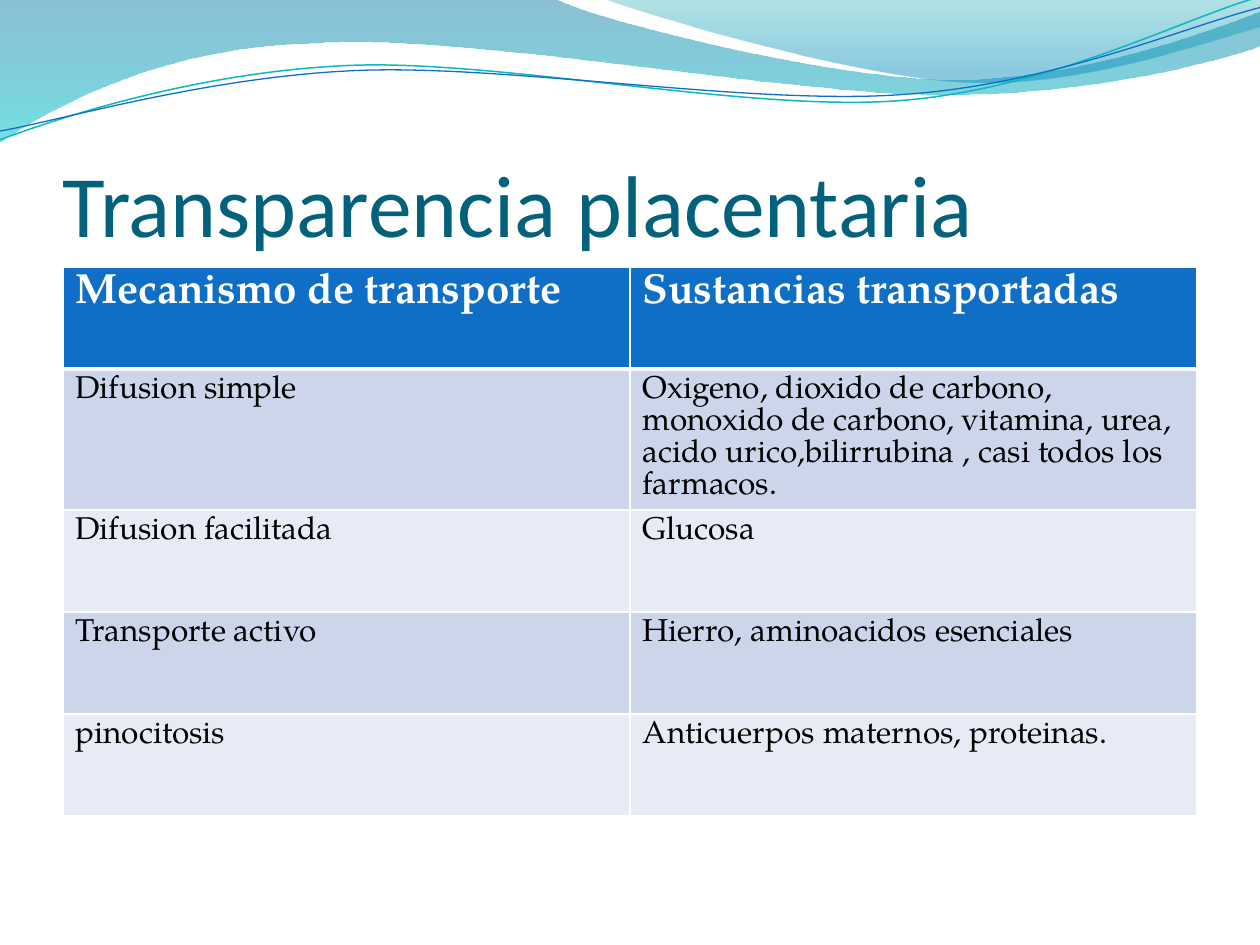
from lxml import etree
from pptx import Presentation
from pptx.dml.color import RGBColor
from pptx.enum.text import MSO_ANCHOR
from pptx.oxml.ns import qn
from pptx.util import Inches, Pt

WHITE = RGBColor(0xFF, 0xFF, 0xFF)
BLACK = RGBColor(0x00, 0x00, 0x00)
TITLE_TEAL = RGBColor(0x04, 0x61, 0x7B)
HEADER_BLUE = RGBColor(0x0F, 0x6F, 0xC6)
LINE_TEAL = RGBColor(0x0A, 0xB8, 0xBF)
BAND_DARK = RGBColor(0xCC, 0xD5, 0xEA)
BAND_LIGHT = RGBColor(0xE7, 0xEB, 0xF5)
DEEP_BLUE = RGBColor(0x00, 0x74, 0xA1)
CYAN = RGBColor(0x00, 0xC6, 0xCF)
GREEN = RGBColor(0x00, 0xA1, 0xA9)
SKY = RGBColor(0x00, 0x8B, 0xBF)

TITLE = "Transparencia placentaria"
ROWS = [
    ("Mecanismo de transporte", "Sustancias transportadas"),
    ("Difusion simple",
     "Oxigeno, dioxido de carbono, monoxido de carbono, vitamina, urea, "
     "acido urico,bilirrubina , casi todos los farmacos."),
    ("Difusion facilitada", "Glucosa"),
    ("Transporte activo", "Hierro, aminoacidos esenciales"),
    ("pinocitosis", "Anticuerpos maternos, proteinas."),
]
ROW_HEIGHTS = [0.81, 1.11, 0.81, 0.81, 0.81]
BODY_PITCH = 18.3

WAVES = [
    ((0, 0), [
        [(4.4, -0.01)],
        [(4.76, 0.17), (6.64, 0.63), (7.58, 0.63)],
        [(8.53, 0.63), (9.58, 0.26), (10, 0.09)],
        [(10.01, 0.36)],
        [(9.83, 0.44), (8.7, 0.76), (7.46, 0.75)],
        [(6.22, 0.75), (3.82, 0.28), (2.57, 0.34)],
        [(1.29, 0.36), (0.46, 0.83), (-0.01, 1.13)],
    ], [(0, DEEP_BLUE, 45), (100, CYAN, 55)]),
    ((4.79, -0.01), [
        [(5.09, 0.11), (6.82, 0.62), (7.69, 0.65)],
        [(8.56, 0.69), (9.61, 0.32), (10, 0.21)],
        [(10, 0)],
    ], [(0, GREEN, 30), (80, SKY, 45)]),
]
STRANDS = [
    ((0, 1.11), [
        [(0.48, 0.93), (1.58, 0.57), (2.77, 0.52)],
        [(3.95, 0.47), (5.93, 0.89), (7.13, 0.8)],
        [(8.33, 0.71), (9.38, 0.15), (9.98, -0.02)],
    ], LINE_TEAL, 0.85),
    ((0, 1.04), [
        [(0.47, 0.96), (1.64, 0.61), (2.83, 0.56)],
        [(4.03, 0.51), (5.97, 0.84), (7.17, 0.75)],
        [(8.36, 0.67), (9.41, 0.21), (10, 0.06)],
    ], HEADER_BLUE, 0.75),
]


def to_emu(point):
    return tuple(Inches(value) for value in point)


def add_outline(page, start, steps, close):
    builder = page.shapes.build_freeform(*to_emu(start))
    builder.add_line_segments(
        [to_emu(point) for step in steps for point in step], close=close)
    shape = builder.convert_to_shape()
    shape.shadow.inherit = False
    segments = iter(list(shape._element.iter(qn("a:lnTo"))))
    for step in steps:
        group = [next(segments) for _ in step]
        if len(group) == 3:
            curve = etree.Element(qn("a:cubicBezTo"))
            group[0].addprevious(curve)
            for segment in group:
                curve.append(segment[0])
                segment.getparent().remove(segment)
    return shape


def add_solid(parent, color, alpha=None):
    node = etree.SubElement(parent, qn("a:srgbClr"), val=str(color))
    if alpha is not None:
        etree.SubElement(node, qn("a:alpha"), val=str(alpha * 1000))


def fill_gradient(shape, stops):
    shape.line.fill.background()
    gradient = etree.Element(qn("a:gradFill"), rotWithShape="1")
    stop_list = etree.SubElement(gradient, qn("a:gsLst"))
    for position, color, alpha in stops:
        stop = etree.SubElement(stop_list, qn("a:gs"), pos=str(position * 1000))
        add_solid(stop, color, alpha)
    etree.SubElement(gradient, qn("a:lin"), ang="5400000", scaled="0")
    shape._element.spPr.find(qn("a:custGeom")).addnext(gradient)


def set_borders(cell, bottom):
    properties = cell._tc.get_or_add_tcPr()
    widths = {"a:lnL": 1, "a:lnR": 1, "a:lnT": 1, "a:lnB": bottom}
    for index, (tag, width) in enumerate(widths.items()):
        line = etree.Element(qn(tag), w=str(Pt(width)))
        add_solid(etree.SubElement(line, qn("a:solidFill")), WHITE)
        properties.insert(index, line)


def add_span(para, text, font, size, color, bold=False):
    span = para.add_run()
    span.text = text
    span.font.name = font
    span.font.size = Pt(size)
    span.font.bold = bold
    span.font.color.rgb = color


def add_title(page):
    box = page.shapes.add_textbox(Inches(0.5), Inches(0.77), Inches(9), Inches(1.25))
    frame = box.text_frame
    frame.word_wrap = True
    frame.vertical_anchor = MSO_ANCHOR.BOTTOM
    frame.margin_left = frame.margin_right = frame.margin_bottom = 0
    frame.margin_top = Inches(0.05)
    add_span(frame.paragraphs[0], TITLE, "Calibri", 50, TITLE_TEAL)


def add_transport_table(page):
    table = page.shapes.add_table(
        len(ROWS), 2, Inches(0.5), Inches(2.12),
        Inches(9), Inches(sum(ROW_HEIGHTS))).table
    for r, texts in enumerate(ROWS):
        table.rows[r].height = Inches(ROW_HEIGHTS[r])
        header = r == 0
        fill = HEADER_BLUE if header else BAND_DARK if r % 2 else BAND_LIGHT
        for c, text in enumerate(texts):
            cell = table.cell(r, c)
            cell.fill.solid()
            cell.fill.fore_color.rgb = fill
            set_borders(cell, 3 if header else 1)
            para = cell.text_frame.paragraphs[0]
            if not header:
                para.line_spacing = Pt(BODY_PITCH)
            add_span(para, text, "TeX Gyre Pagella",
                     24 if header else 18, WHITE if header else BLACK, header)


def main():
    deck = Presentation()
    deck.slide_width, deck.slide_height = Inches(10), Inches(7.5)
    page = deck.slides.add_slide(deck.slide_layouts[6])
    for start, steps, stops in WAVES:
        fill_gradient(add_outline(page, start, steps, True), stops)
    for start, steps, color, width in STRANDS:
        strand = add_outline(page, start, steps, False)
        strand.fill.background()
        strand.line.color.rgb = color
        strand.line.width = Pt(width)
    add_title(page)
    add_transport_table(page)
    deck.save("out.pptx")


if __name__ == "__main__":
    main()
